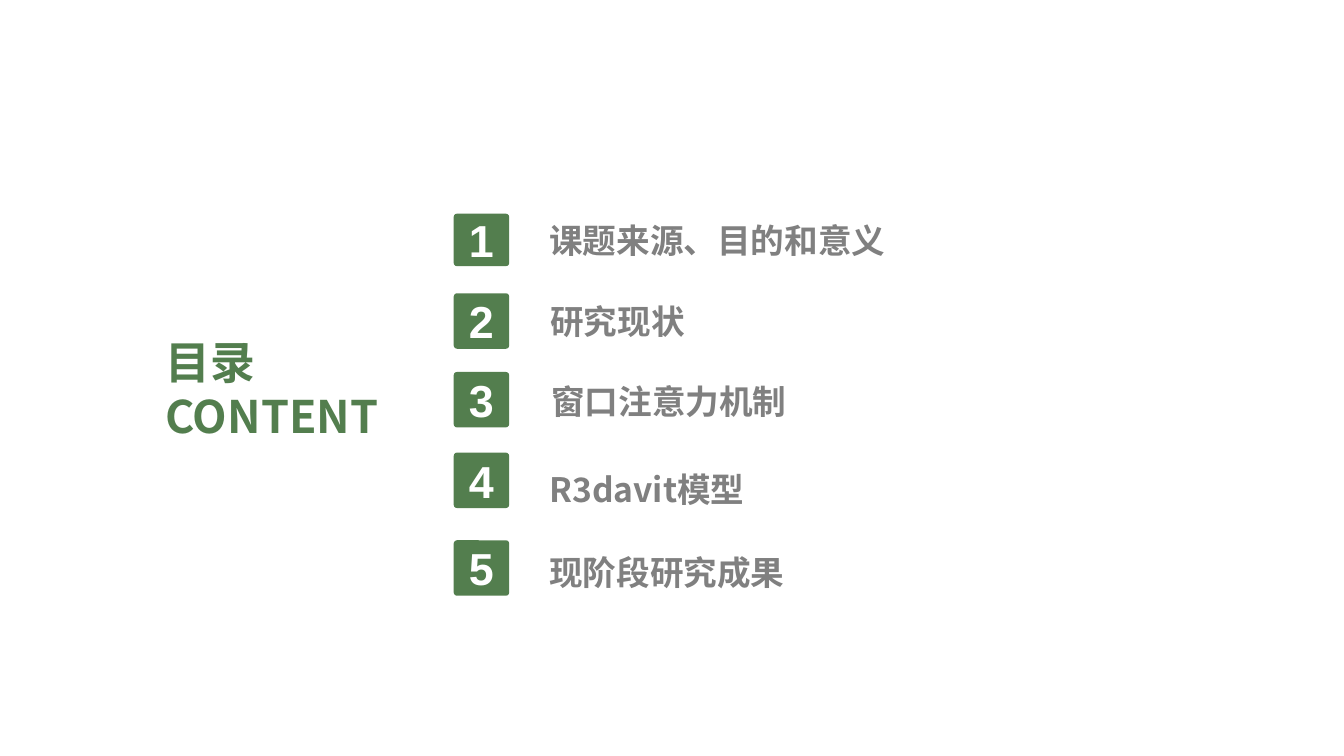
from lxml import etree
from pptx import Presentation
from pptx.dml.color import RGBColor
from pptx.enum.shapes import MSO_SHAPE
from pptx.enum.text import MSO_ANCHOR, MSO_AUTO_SIZE, PP_ALIGN
from pptx.oxml.ns import qn
from pptx.util import Inches, Pt

ROUND = MSO_SHAPE.ROUNDED_RECTANGLE
TOP, MIDDLE = MSO_ANCHOR.TOP, MSO_ANCHOR.MIDDLE
LEFT, CENTER = PP_ALIGN.LEFT, PP_ALIGN.CENTER
FIXED = MSO_AUTO_SIZE.NONE
TITLE_ONLY = 5

COLORS = {"green": "537E4E", "gray": "808080", "white": "FFFFFF"}
CJK, LATIN = "Noto Sans CJK SC", "Arial"

# Each row: badge top, badge height, label left, label top, label width, text
ROWS = [
    (2.12, 0.52, 5.35, 2.13, 3.57, "课题来源、目的和意义"),
    (2.91, 0.55, 5.36, 2.94, 1.55, "研究现状"),
    (3.69, 0.55, 5.37, 3.73, 2.53, "窗口注意力机制"),
    (4.49, 0.55, 5.35, 4.6, 7.66, "R3davit模型"),
    (5.36, 0.55, 5.35, 5.43, 2.53, "现阶段研究成果"),
]


def color(name):
    """Return the named palette colour."""
    return RGBColor.from_string(COLORS[name])


def add_run(para, text, size, font, tint):
    """Add one bold run in the given font and colour."""
    run = para.add_run()
    run.text = text
    run.font.size = Pt(size)
    run.font.bold = True
    run.font.name = font
    run.font.color.rgb = color(tint)
    east = etree.SubElement(run.font._element, qn("a:ea"))
    east.set("typeface", font)


def add_title(slide, left, top, width, height):
    """Place the two-line heading in the title placeholder."""
    title = slide.shapes.title
    title.left, title.top = Inches(left), Inches(top)
    title.width, title.height = Inches(width), Inches(height)
    frame = title.text_frame
    frame.word_wrap = True
    frame.auto_size = FIXED
    frame.vertical_anchor = TOP
    first, second = frame.paragraphs[0], frame.add_paragraph()
    first._p.get_or_add_pPr().set("marL", str(Inches(0.53)))
    for para, text in ((first, "目录"), (second, "CONTENT")):
        para.alignment = LEFT
        add_run(para, text, 32, CJK, "green")


def add_badge(slide, left, top, width, height, number):
    """Draw a rounded badge holding its number."""
    badge = slide.shapes.add_shape(
        ROUND, Inches(left), Inches(top), Inches(width), Inches(height))
    badge.adjustments[0] = 0.06
    badge.shadow.inherit = False
    badge.fill.solid()
    badge.fill.fore_color.rgb = color("green")
    badge.line.fill.background()
    frame = badge.text_frame
    frame.margin_left = frame.margin_right = 0
    frame.margin_top = frame.margin_bottom = 0
    frame.vertical_anchor = MIDDLE
    para = frame.paragraphs[0]
    para.alignment = CENTER
    add_run(para, str(number), 32, LATIN, "white")


def add_label(slide, left, top, width, height, text):
    """Place the wording of one entry."""
    box = slide.shapes.add_textbox(
        Inches(left), Inches(top), Inches(width), Inches(height))
    box.text_frame.word_wrap = True
    add_run(box.text_frame.paragraphs[0], text, 24, CJK, "gray")


def main():
    """Build and save the contents slide."""
    deck = Presentation()
    deck.slide_width, deck.slide_height = Inches(13.33), Inches(7.5)
    slide = deck.slides.add_slide(deck.slide_layouts[TITLE_ONLY])
    add_title(slide, 1.01, 3.27, 2.85, 1.18)
    for number, row in enumerate(ROWS, 1):
        top, height, left, line, width, text = row
        add_badge(slide, 4.5, top, 0.55, height, number)
        add_label(slide, left, line, width, 0.5, text)
    deck.save("out.pptx")


if __name__ == "__main__":
    main()
